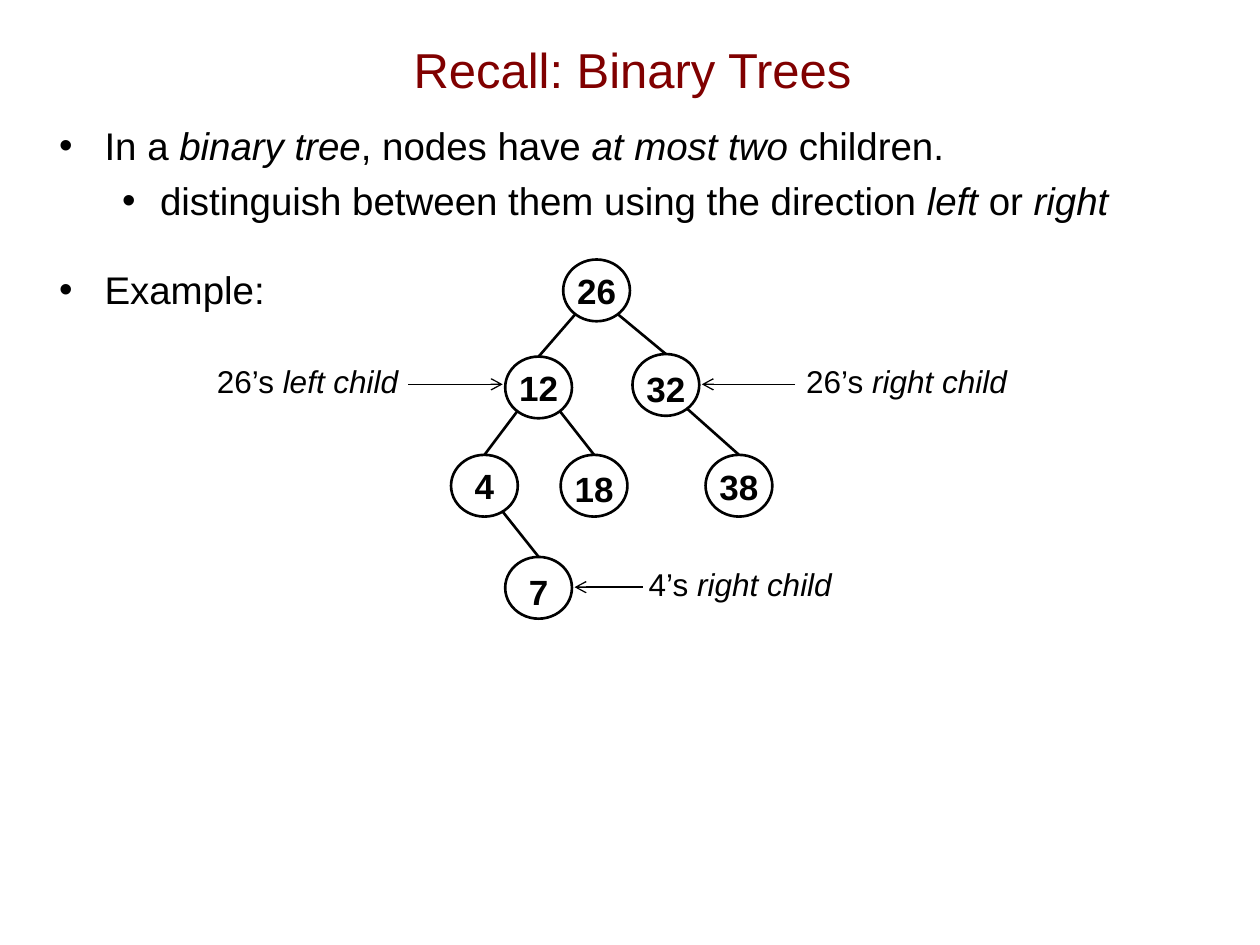
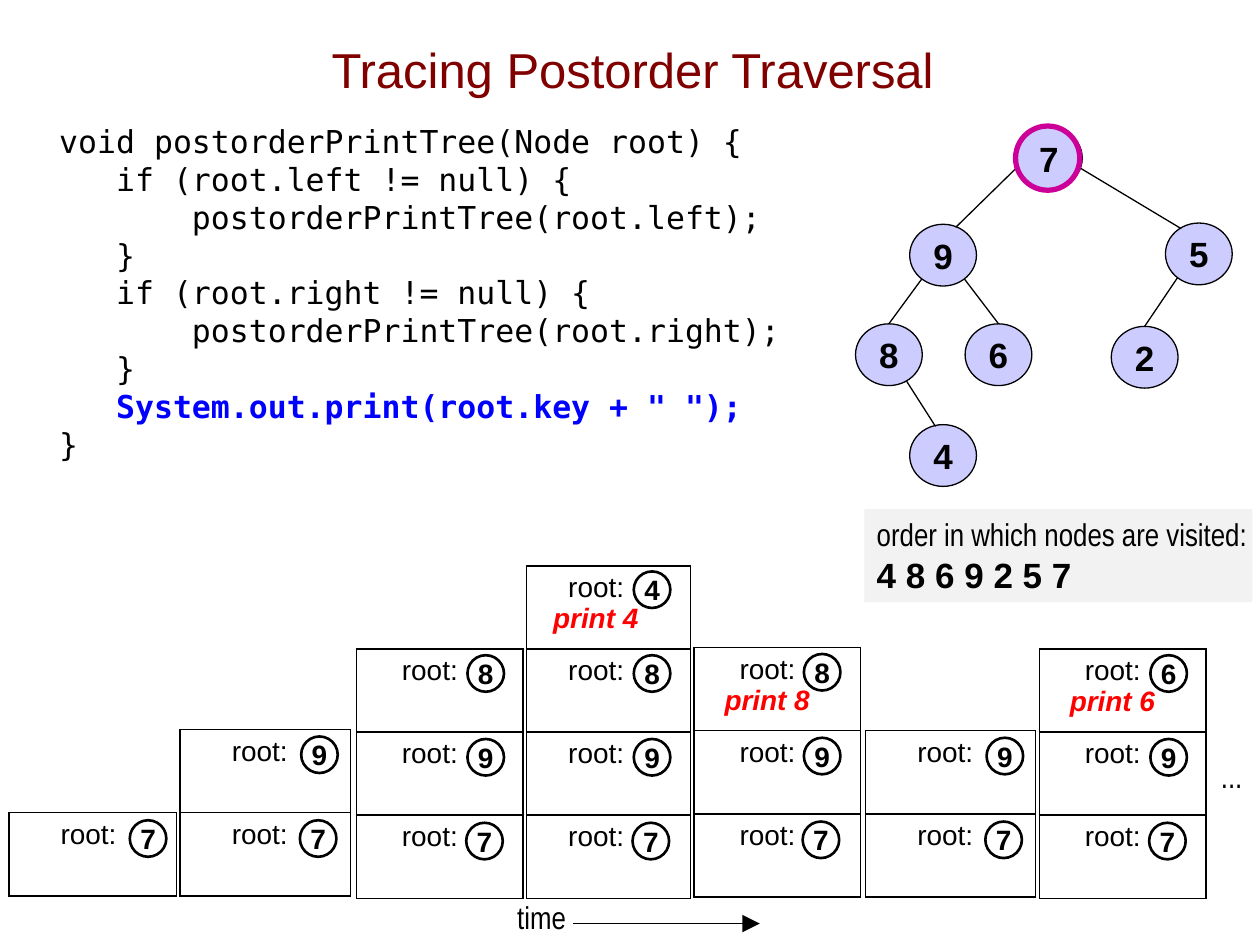
from lxml.etree import SubElement
from pptx import Presentation
from pptx.dml.color import RGBColor
from pptx.enum.shapes import MSO_CONNECTOR, MSO_SHAPE
from pptx.enum.text import MSO_ANCHOR, MSO_AUTO_SIZE, PP_ALIGN
from pptx.oxml.ns import qn
from pptx.util import Inches, Pt

# Shared style
BLACK = RGBColor(0x00, 0x00, 0x00)
MAROON = RGBColor(0x80, 0x00, 0x00)
BLUE = RGBColor(0x00, 0x00, 0xFF)
RED = RGBColor(0xFF, 0x00, 0x00)
LAVENDER = RGBColor(0xCC, 0xCC, 0xFF)
MAGENTA = RGBColor(0xCC, 0x00, 0x99)
PALE_GRAY = RGBColor(0xF2, 0xF2, 0xF2)
ARIAL, NARROW, MONO = "Arial", "Arial Narrow", "DejaVu Sans Mono"
NODE_W, NODE_H = 0.53, 0.49
ROW_H, COIN = 0.66, 0.29

# Slide 1 content: bullets are (level, space before, [(text, italic)])
BULLETS = [
    (0, 14.2, [("In a ", False), ("binary tree", True), (", nodes have ", False),
               ("at most two", True), (" children.", False)]),
    (1, 5.2, [("distinguish between them using the direction ", False),
              ("left", True), (" or ", False), ("right", True)]),
    (0, 24, [("Example:", False)]),
]
BULLET_INDENTS = [(0.36, -0.36), (0.8, -0.3)]
# Trees: key -> top-left of node; edges: parent, child, start and end offsets
# from the node centres (end None means the top of the child)
LEFT, RIGHT = (-0.17, 0.19), (0.17, 0.19)
SEARCH_TREE = {"26": (4.47, 2.06), "12": (4.01, 2.83), "32": (5.02, 2.81),
               "4": (3.58, 3.61), "18": (4.45, 3.61), "38": (5.6, 3.61),
               "7": (4.01, 4.42)}
SEARCH_EDGES = [("26", "12", LEFT, None), ("26", "32", RIGHT, None),
                ("12", "4", LEFT, None), ("12", "18", RIGHT, None),
                ("32", "38", RIGHT, None), ("4", "7", (0.14, 0.2), None)]
# Keys set a little below the middle of their node
KEY_DROPS = {"32": 0.03, "18": 0.02, "38": 0.01, "7": 0.03}
# Child labels: owner, side, box, alignment, arrow
CHILD_LABELS = [
    ("26’s", " right child", (6.3, 2.86, 1.87, 0.37), PP_ALIGN.LEFT,
     (6.31, 3.05, 5.57, 3.05)),
    ("26’s", " left child", (1.5, 2.86, 1.76, 0.37), PP_ALIGN.RIGHT,
     (3.24, 3.05, 3.99, 3.05)),
    ("4’s", " right child", (5.05, 4.47, 1.74, 0.37), PP_ALIGN.LEFT,
     (5.1, 4.66, 4.56, 4.66)),
]

# Slide 2 content
PRINT_LINE = 'System.out.print(root.key + " ");'
CODE = [
    "void postorderPrintTree(Node root) {",
    "   if (root.left != null) {",
    "       postorderPrintTree(root.left);",
    "   }",
    "   if (root.right != null) {",
    "       postorderPrintTree(root.right);",
    "   }",
    "   " + PRINT_LINE,
    "}",
]
TRAVERSAL_TREE = {"7": (8.06, 1.01), "9": (7.22, 1.78), "8": (6.79, 2.57),
                  "6": (7.66, 2.57), "4": (7.22, 3.37), "5": (9.25, 1.77),
                  "2": (8.82, 2.59)}
TRAVERSAL_EDGES = [("7", "9", (-0.26, 0.08), (0.1, -0.22)),
                   ("7", "5", (0.25, 0.08), (-0.14, -0.2)),
                   ("9", "8", LEFT, None), ("9", "6", RIGHT, None),
                   ("8", "4", (0.14, 0.21), (-0.06, -0.23)),
                   ("5", "2", LEFT, None)]
# Call stacks: left, bottom, width, cell inset, circle left, keys from the
# bottom up, free rows above, whether the top call prints
STACKS = [
    (0.07, 7.11, 1.33, 0.1, 1.03, "7", 2, False),
    (1.43, 7.11, 1.35, 0.1, 2.38, "79", 2, False),
    (2.83, 7.13, 1.32, 0.05, 3.7, "798", 2, False),
    (4.18, 7.13, 1.3, 0.02, 5.02, "7984", 0, True),
    (5.51, 7.12, 1.32, 0.05, 6.37, "798", 2, True),
    (6.87, 7.12, 1.35, 0.1, 7.82, "79", 2, False),
    (8.25, 7.13, 1.32, 0.05, 9.12, "796", 2, True),
]


def add_run(p, text, size, font=ARIAL, color=BLACK, bold=False, italic=False):
    r = p.add_run()
    r.text = text
    f = r.font
    f.name, f.size, f.bold, f.italic = font, Pt(size), bold, italic
    f.color.rgb = color


def set_indent(p, left, first):
    pPr = p._p.get_or_add_pPr()
    pPr.set("marL", str(Inches(left)))
    pPr.set("indent", str(Inches(first)))
    return pPr


def place(sp, box):
    sp.left, sp.top, sp.width, sp.height = map(Inches, box)


def add_titled_slide(prs, title, body_width):
    """Add a slide with its title and return it with the body's text frame."""
    s = prs.slides.add_slide(prs.slide_layouts[1])
    place(s.shapes.title, (0.43, 0.08, 9.18, 0.93))
    tf = s.shapes.title.text_frame
    tf.vertical_anchor = MSO_ANCHOR.MIDDLE
    tf.paragraphs[0].alignment = PP_ALIGN.CENTER
    add_run(tf.paragraphs[0], title, 28, color=MAROON)
    body = s.placeholders[1]
    place(body, (0.37, 0.92, body_width, 6.14))
    body.text_frame.auto_size = MSO_AUTO_SIZE.NONE
    return s, body.text_frame


def next_paragraph(tf, i):
    return tf.add_paragraph() if i else tf.paragraphs[0]


def add_text(s, box, align=PP_ALIGN.LEFT):
    sp = s.shapes.add_textbox(*map(Inches, box))
    sp.text_frame.word_wrap = True
    p = sp.text_frame.paragraphs[0]
    p.alignment = align
    return p


def add_line(s, ends, width, tail=None, tail_size="med"):
    cx = s.shapes.add_connector(MSO_CONNECTOR.STRAIGHT, *map(Inches, ends))
    cx.line.color.rgb = BLACK
    cx.line.width = Pt(width)
    if tail:
        SubElement(cx.get_or_add_ln(), qn("a:tailEnd"), type=tail,
                   w=tail_size, len=tail_size)
    SubElement(cx._element.spPr, qn("a:effectLst"))
    return cx


def add_circle(s, box, width, key="", size=20, fill=None, color=BLACK):
    sp = s.shapes.add_shape(MSO_SHAPE.OVAL, *map(Inches, box))
    sp.shadow.inherit = False
    if fill:
        sp.fill.solid()
        sp.fill.fore_color.rgb = fill
    else:
        sp.fill.background()
    sp.line.color.rgb = color
    sp.line.width = Pt(width)
    if key:
        tf = sp.text_frame
        tf.margin_left = tf.margin_right = tf.margin_top = tf.margin_bottom = 0
        tf.word_wrap = False
        tf.vertical_anchor = MSO_ANCHOR.MIDDLE
        tf.paragraphs[0].alignment = PP_ALIGN.CENTER
        add_run(tf.paragraphs[0], key, size, bold=True)
    return sp


def add_tree(s, nodes, edges, width, fill=None):
    circles = {key: add_circle(s, (x, y, NODE_W, NODE_H), width, key, fill=fill)
               for key, (x, y) in nodes.items()}
    centers = {key: (x + NODE_W / 2, y + NODE_H / 2)
               for key, (x, y) in nodes.items()}
    for parent, child, start, end in edges:
        (px, py), (cx, cy) = centers[parent], centers[child]
        dx, dy = end or (0, -NODE_H / 2)
        edge = add_line(s, (px + start[0], py + start[1], cx + dx, cy + dy), width)
        if not end:
            edge.end_connect(circles[child], 0)
    return circles


def set_borders(cell, drawn):
    tcPr = cell._tc.get_or_add_tcPr()
    for side in "LRTB":
        ln = SubElement(tcPr, qn(f"a:ln{side}"), w=str(Pt(1)))
        if side in drawn:
            fill = SubElement(ln, qn("a:solidFill"))
            SubElement(fill, qn("a:srgbClr"), val=str(BLACK))
        else:
            SubElement(ln, qn("a:noFill"))


def add_stack(s, left, bottom, width, inset, coin_left, keys, free, prints):
    n = free + len(keys)
    box = (left, bottom - n * ROW_H, width, n * ROW_H)
    table = s.shapes.add_table(n, 1, *map(Inches, box)).table
    table.first_row = table.horz_banding = False
    for i in range(n):
        table.rows[i].height = Inches(ROW_H)
        cell = table.cell(i, 0)
        used = i >= free
        set_borders(cell, "LRTB" if used else "B" if i == free - 1 else "")
        cell.fill.background()
        if not used:
            continue
        cell.margin_left, cell.margin_right = Inches(inset), Inches(0.05)
        p = cell.text_frame.paragraphs[0]
        set_indent(p, 0.19, 0.12)
        add_run(p, "root:", 16)
        if prints and i == free:
            p.add_line_break()
            add_run(p, f"print {keys[-1]}", 16, color=RED, bold=True, italic=True)


def add_stack_circles(s, left, bottom, keys):
    for level, key in enumerate(keys):
        x = left + (0.01 if level else 0)
        add_circle(s, (x, bottom - 0.6 - level * 0.665, COIN, COIN), 1.5, key, 16)


def build_binary_trees(prs):
    s, tf = add_titled_slide(prs, "Recall: Binary Trees", 9.63)
    for i, (level, before, runs) in enumerate(BULLETS):
        p = next_paragraph(tf, i)
        p.level = level
        p.space_before = Pt(before)
        pPr = set_indent(p, *BULLET_INDENTS[level])
        color = SubElement(pPr, qn("a:buClr"))
        SubElement(color, qn("a:srgbClr"), val=str(BLACK))
        SubElement(pPr, qn("a:buChar"), char="•")
        for text, italic in runs:
            add_run(p, text, 22, italic=italic)
    circles = add_tree(s, SEARCH_TREE, SEARCH_EDGES, 1.5)
    for key, drop in KEY_DROPS.items():
        circles[key].text_frame.margin_top = Inches(2 * drop)
    for owner, side, box, align, arrow in CHILD_LABELS:
        p = add_text(s, box, align)
        p.line_spacing = 0.9
        add_run(p, owner, 18)
        add_run(p, side, 18, italic=True)
        add_line(s, arrow, 0.75, "arrow")


def build_postorder(prs):
    s, tf = add_titled_slide(prs, "Tracing Postorder Traversal", 9.28)
    for i, line in enumerate(CODE):
        p = next_paragraph(tf, i)
        p.space_before = Pt(0)
        SubElement(set_indent(p, 0.36, -0.36), qn("a:buNone"))
        plain, mark, _ = line.partition(PRINT_LINE)
        add_run(p, plain, 18, MONO)
        if mark:
            add_run(p, mark, 18, MONO, BLUE, bold=True)

    # Call stacks over time
    for stack in STACKS:
        add_stack(s, *stack)
    for _, bottom, _, _, coin_left, keys, _, _ in STACKS:
        add_stack_circles(s, coin_left, bottom, keys)
    add_run(add_text(s, (3.9, 7.08, 0.69, 0.4), PP_ALIGN.RIGHT), "time", 18, NARROW)
    add_line(s, (4.55, 7.33, 6.03, 7.33), 0.75, "triangle", "lg")
    add_run(add_text(s, (9.55, 5.96, 0.45, 0.4), PP_ALIGN.CENTER), "...", 18, NARROW)

    # Tree with its current node ringed
    add_tree(s, TRAVERSAL_TREE, TRAVERSAL_EDGES, 0.75, LAVENDER)
    add_circle(s, (8.06, 1, 0.51, 0.51), 3, color=MAGENTA)

    # Visiting order
    sp = s.shapes.add_shape(MSO_SHAPE.RECTANGLE,
                            *map(Inches, (6.86, 4.04, 3.08, 0.74)))
    sp.shadow.inherit = False
    sp.fill.solid()
    sp.fill.fore_color.rgb = PALE_GRAY
    sp.line.fill.background()
    tf = sp.text_frame
    tf.margin_right = Inches(0.02)
    tf.vertical_anchor = MSO_ANCHOR.TOP
    p = tf.paragraphs[0]
    add_run(p, "order in which nodes are visited:", 18, NARROW)
    add_run(tf.add_paragraph(), "4 8 6 9 2 5 7", 20, bold=True)
    for p in tf.paragraphs:
        p.alignment = PP_ALIGN.LEFT


def main():
    prs = Presentation()
    prs.slide_width, prs.slide_height = Inches(10), Inches(7.5)
    build_binary_trees(prs)
    build_postorder(prs)
    prs.save("out.pptx")


if __name__ == "__main__":
    main()
